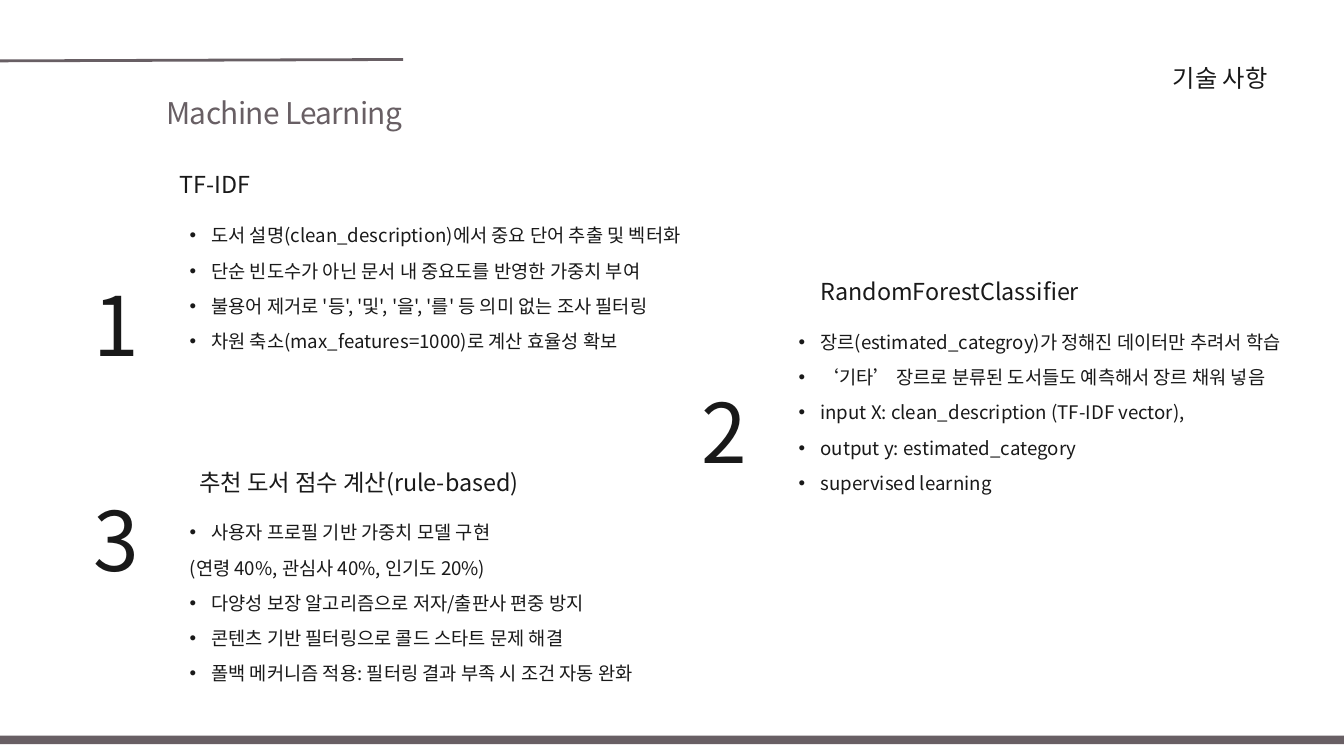
import pptx
import pptx.util
import pptx.dml.color
import pptx.enum.shapes
import pptx.enum.text
import pptx.oxml.ns
from lxml import etree

PX = 9525  # EMU per px, 96 px to the inch
FONT = "Noto Sans CJK KR"
COLORS = {"text": "191919", "accent": "685F64", "background": "FFFFFF"}
ALIGN = pptx.enum.text.PP_ALIGN
INDENT = 31  # px from bullet to text

# number, its place, heading, its box, list box, list lines (bulleted or not)
SECTIONS = [
    ("1", (134, 228), "TF-IDF", (241, 236, 133), (240, 302, 764, 199), [
        (True, "도서 설명(clean_description)에서 중요 단어 추출 및 벡터화"),
        (True, "단순 빈도수가 아닌 문서 내 중요도를 반영한 가중치 부여"),
        (True, "불용어 제거로 '등', '및', '을', '를' 등 의미 없는 조사 필터링"),
        (True, "차원 축소(max_features=1000)로 계산 효율성 확보"),
    ]),
    ("2", (1002, 380), "RandomForestClassifier", (1135, 389, 444), (1110, 454, 782, 250), [
        (True, "장르(estimated_categroy)가 정해진 데이터만 추려서 학습"),
        (True, "‘기타’ 장르로 분류된 도서들도 예측해서 장르 채워 넣음"),
        (True, "input X: clean_description (TF-IDF vector),"),
        (True, "output y: estimated_category"),
        (True, "supervised learning"),
    ]),
    ("3", (134, 534), "추천 도서 점수 계산(rule-based)", (240, 662, 545), (240, 726, 944, 250), [
        (True, "사용자 프로필 기반 가중치 모델 구현"),
        (False, "(연령 40%, 관심사 40%, 인기도 20%)"),
        (True, "다양성 보장 알고리즘으로 저자/출판사 편중 방지"),
        (True, "콘텐츠 기반 필터링으로 콜드 스타트 문제 해결"),
        (True, "폴백 메커니즘 적용: 필터링 결과 부족 시 조건 자동 완화"),
    ]),
]


def px(*lengths):
    return [length * PX for length in lengths]


def rgb(name):
    return pptx.dml.color.RGBColor.from_string(COLORS[name])


def add_element(parent, tag, **attributes):
    return etree.SubElement(parent, pptx.oxml.ns.qn(tag), attributes)


def format_frame(tf):
    tf.margin_left = tf.margin_right = tf.margin_top = tf.margin_bottom = 0
    tf.word_wrap = True
    tf.auto_size = pptx.enum.text.MSO_AUTO_SIZE.NONE
    tf.vertical_anchor = pptx.enum.text.MSO_ANCHOR.TOP


def format_paragraph(p, size, spacing, color="text", align=ALIGN.LEFT):
    p.alignment = align
    p.line_spacing = pptx.util.Pt(spacing)
    p.font.size = pptx.util.Pt(size)
    p.font.color.rgb = rgb(color)
    p.font.name = FONT
    # Korean glyphs take the East Asian typeface
    add_element(p.font._element, "a:ea", typeface=FONT)


def add_text(s, box, text, size, spacing, align=ALIGN.LEFT):
    tf = s.shapes.add_textbox(*px(*box)).text_frame
    format_frame(tf)
    p = tf.paragraphs[0]
    p.text = text
    format_paragraph(p, size, spacing, align=align)


def add_list(s, box, lines):
    tf = s.shapes.add_textbox(*px(*box)).text_frame
    format_frame(tf)
    for i, (bulleted, text) in enumerate(lines):
        p = tf.paragraphs[0] if i == 0 else tf.add_paragraph()
        p.text = text
        p.level = 1
        pPr = p._p.get_or_add_pPr()
        pPr.set("marL", str((2 if bulleted else 1) * INDENT * PX))
        pPr.set("indent", str(-INDENT * PX if bulleted else 0))
        if bulleted:
            add_element(pPr, "a:buFont", typeface="Arial")
            add_element(pPr, "a:buChar", char="•")
        format_paragraph(p, 20, 37.8)


def set_title(s, box, text):
    title = s.shapes.title
    title.left, title.top, title.width, title.height = px(*box)
    format_frame(title.text_frame)
    p = title.text_frame.paragraphs[0]
    p.text = text
    format_paragraph(p, 32, 65.9, "accent", ALIGN.RIGHT)
    p.runs[0].font._element.set("spc", "-70")


def add_line(s, start, end):
    line = s.shapes.add_connector(
        pptx.enum.shapes.MSO_CONNECTOR.STRAIGHT, *px(*start, *end))
    line.line.color.rgb = rgb("accent")
    line.line.width = pptx.util.Pt(3)
    add_element(line._element.spPr, "a:effectLst")


def add_bar(s, box):
    sp = s.shapes.add_shape(pptx.enum.shapes.MSO_SHAPE.RECTANGLE, *px(*box))
    sp.shadow.inherit = False
    sp.fill.solid()
    sp.fill.fore_color.rgb = rgb("accent")
    sp.line.fill.background()


def main():
    prs = pptx.Presentation()
    prs.slide_width, prs.slide_height = px(1920, 1080)
    s = prs.slides.add_slide(prs.slide_layouts[5])
    s.background.fill.solid()
    s.background.fill.fore_color.rgb = rgb("background")

    # Header
    set_title(s, (82, 99, 493, 80), "Machine Learning")
    add_line(s, (0, 87), (576, 85))
    add_text(s, (1404, 83, 407, 46), "기술 사항", 26, 36.4, ALIGN.RIGHT)

    # Numbered sections
    for number, place, heading, heading_box, list_box, lines in SECTIONS:
        add_text(s, (*place, 158, 263), number, 88, 229)
        add_text(s, (*heading_box, 44), heading, 25, 35, ALIGN.CENTER)
        add_list(s, list_box, lines)

    # Footer
    add_bar(s, (-31, 1051, 1982, 12))
    prs.save("out.pptx")


if __name__ == "__main__":
    main()
